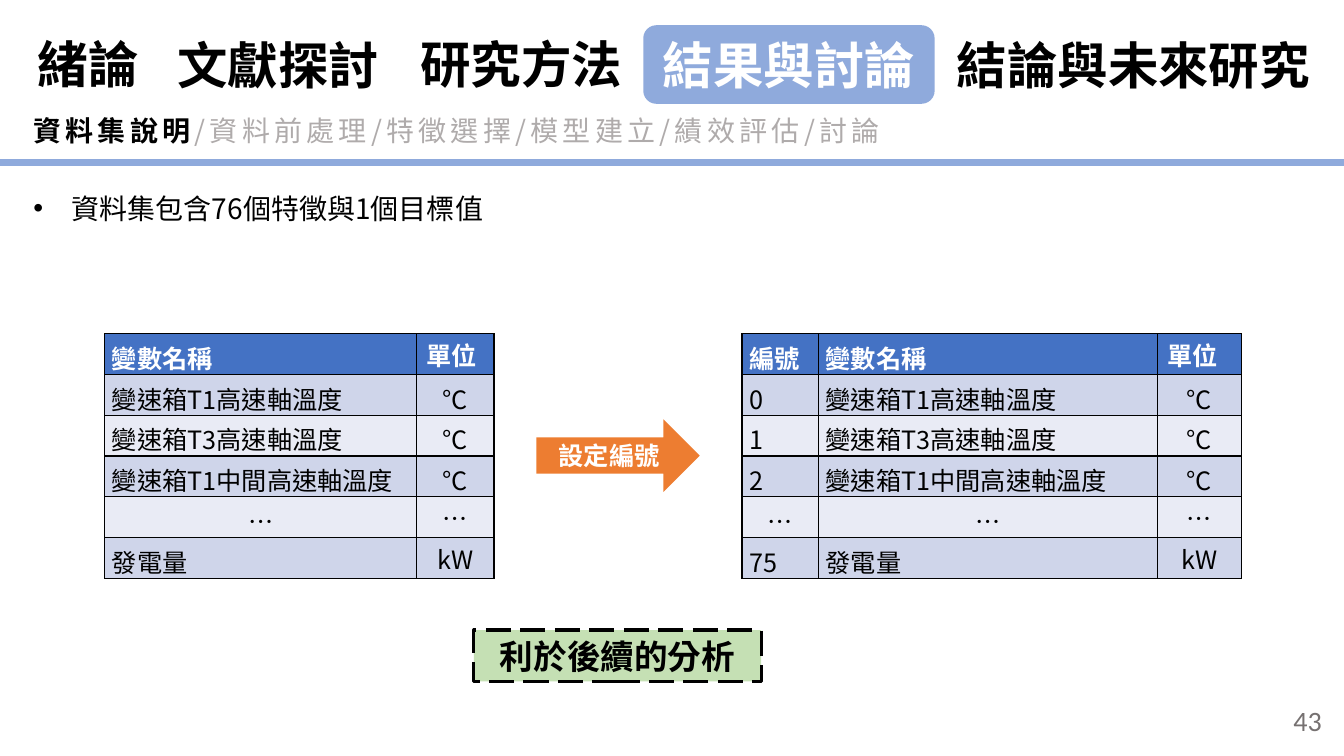
import pptx
import pptx.dml.color
import pptx.enum.dml
import pptx.enum.shapes
import pptx.enum.text
import pptx.oxml
import pptx.oxml.ns
import pptx.util
from lxml import etree

PX = 9144  # EMU in one px: 100 px to the inch
COLORS = {
    "black": "000000", "white": "FFFFFF", "muted": "AFABAB", "number": "767171",
    "accent": "8FAADC", "header": "4472C4", "band_dark": "CFD5EA",
    "band_light": "E9EBF5", "arrow": "ED7D31", "note": "C5E0B4",
}
SHAPE = pptx.enum.shapes.MSO_SHAPE
ALIGN = pptx.enum.text.PP_ALIGN
ANCHOR = pptx.enum.text.MSO_ANCHOR
FIT = pptx.enum.text.MSO_AUTO_SIZE


def rgb(name):
    return pptx.dml.color.RGBColor.from_string(COLORS[name])


def add_text(paragraph, text, size=20, color="black", bold=False, spacing=None,
             font="Noto Sans CJK SC"):
    run = paragraph.add_run()
    run.text = text
    run.font.size = pptx.util.Pt(size)
    run.font.bold = bold
    run.font.color.rgb = rgb(color)
    run.font.name = font
    properties = run.font._element
    properties.set("lang", "zh-TW")
    if spacing:
        properties.set("spc", str(spacing * 100))
    latin = properties.find(pptx.oxml.ns.qn("a:latin"))
    east_asian = etree.Element(pptx.oxml.ns.qn("a:ea"), typeface=font)
    latin.addnext(east_asian)


class SlideBuilder:
    def __init__(self, width, height):
        self.deck = pptx.Presentation()
        self.deck.slide_width = width * PX
        self.deck.slide_height = height * PX
        self.slide = self.deck.slides.add_slide(self.deck.slide_layouts[1])

    def frame(self, shape, align=ALIGN.LEFT, anchor=ANCHOR.TOP, fit=FIT.NONE):
        frame = shape.text_frame
        frame.word_wrap = True
        frame.auto_size = fit
        frame.vertical_anchor = anchor
        paragraph = frame.paragraphs[0]
        paragraph.alignment = align
        return paragraph

    def placeholder(self, index, left, top, width, height):
        holder = self.slide.placeholders[index]
        holder.left, holder.top = left * PX, top * PX
        holder.width, holder.height = width * PX, height * PX
        paragraph = self.frame(holder, fit=FIT.SHAPE_TO_FIT_TEXT)
        paragraph.space_before = pptx.util.Pt(0)
        paragraph.line_spacing = 1.0
        return paragraph

    def bullet(self, paragraph, indent):
        properties = paragraph._p.get_or_add_pPr()
        properties.set("marL", str(indent * PX))
        properties.set("indent", str(-indent * PX))
        etree.SubElement(properties, pptx.oxml.ns.qn("a:buFont"), typeface="Arial")
        etree.SubElement(properties, pptx.oxml.ns.qn("a:buChar"), char="•")

    def rule(self, y, width, color, weight):
        line = self.slide.shapes.add_connector(
            pptx.enum.shapes.MSO_CONNECTOR.STRAIGHT, 0, y * PX, width * PX, y * PX)
        line.line.color.rgb = rgb(color)
        line.line.width = pptx.util.Pt(weight)
        etree.SubElement(line._element.spPr, pptx.oxml.ns.qn("a:effectLst"))

    def shape(self, kind, left, top, width, height, text, fill=None, dashed=False,
              anchor=ANCHOR.MIDDLE, fit=FIT.NONE, **style):
        shape = self.slide.shapes.add_shape(
            kind, left * PX, top * PX, width * PX, height * PX)
        shape.shadow.inherit = False
        if fill:
            shape.fill.solid()
            shape.fill.fore_color.rgb = rgb(fill)
        else:
            shape.fill.background()
        if dashed:
            shape.line.color.rgb = rgb("black")
            shape.line.width = pptx.util.Pt(2.25)
            shape.line.dash_style = pptx.enum.dml.MSO_LINE.LONG_DASH
        else:
            shape.line.fill.background()
        add_text(self.frame(shape, ALIGN.CENTER, anchor, fit), text, **style)

    def label(self, left, top, width, height, text, align, **style):
        box = self.slide.shapes.add_textbox(
            left * PX, top * PX, width * PX, height * PX)
        add_text(self.frame(box, align, ANCHOR.MIDDLE), text, **style)

    def borders(self, cell):
        properties = cell._tc.get_or_add_tcPr()
        for place, side in enumerate("LRTB"):
            properties.insert(place, pptx.oxml.parse_xml(
                f'<a:ln{side} {pptx.oxml.ns.nsdecls("a")} w="12700"><a:solidFill>'
                f'<a:srgbClr val="{COLORS["black"]}"/></a:solidFill></a:ln{side}>'))

    def table(self, left, top, height, widths, rows):
        table = self.slide.shapes.add_table(
            len(rows), len(widths), left * PX, top * PX,
            sum(widths) * PX, height * PX).table
        for column, width in zip(table.columns, widths):
            column.width = width * PX
        for r, row in enumerate(rows):
            fill = "header" if r == 0 else ("band_dark" if r % 2 else "band_light")
            for c, text in enumerate(row):
                self.cell(table.cell(r, c), text, fill, r == 0, c == len(row) - 1)

    def cell(self, cell, text, fill, is_header, is_unit):
        cell.fill.solid()
        cell.fill.fore_color.rgb = rgb(fill)
        cell.vertical_anchor = ANCHOR.MIDDLE
        wide = is_unit and text != "°C"
        cell.margin_left = cell.margin_right = (10 if wide else 7) * PX
        cell.margin_top = cell.margin_bottom = 0
        self.borders(cell)
        paragraph = cell.text_frame.paragraphs[0]
        paragraph.line_spacing = 1.0 if wide else 1.15
        if text == "…":
            cell._tc.get_or_add_tcPr().set("vert", "eaVert")
        centred = text == "…" or (is_unit and not is_header)
        paragraph.alignment = ALIGN.CENTER if centred else ALIGN.LEFT
        add_text(paragraph, text, size=18, bold=is_header,
                 color="white" if is_header else "black")


def main():
    page = SlideBuilder(1333, 750)

    # Header: rule, page number, section path
    page.rule(161, 1333, "accent", 5)
    page.label(1021, 695, 300, 40, "43", ALIGN.RIGHT, color="number", font="Calibri")
    section_path = page.placeholder(0, 23, 108, 1298, 44)
    add_text(section_path, "資料集說明", bold=True, spacing=3)
    add_text(section_path, "/資料前處理/特徵選擇/模型建立/績效評估/討論",
             color="muted", spacing=3)

    # Chapter tabs
    chapters = [("緒論", 19, 24, 137), ("文獻探討", 156, 25, 240),
                ("研究方法", 398, 24, 238), ("結果與討論", 638, 25, 289),
                ("結論與未來研究", 926, 25, 396)]
    for chapter, left, top, width in chapters:
        current = chapter == "結果與討論"
        page.shape(SHAPE.ROUNDED_RECTANGLE, left, top, width, 78, chapter,
                   fill="accent" if current else None, anchor=ANCHOR.TOP,
                   fit=FIT.SHAPE_TO_FIT_TEXT, size=36, bold=True,
                   color="white" if current else "black")

    # Data set summary
    summary = page.placeholder(1, 23, 185, 667, 44)
    page.bullet(summary, 38)
    add_text(summary, "資料集包含76個特徵與1個目標值")

    # Variables before and after numbering
    variables = [("變數名稱", "單位"), ("變速箱T1高速軸溫度", "°C"),
                 ("變速箱T3高速軸溫度", "°C"), ("變速箱T1中間高速軸溫度", "°C"),
                 ("…", "…"), ("發電量", "kW")]
    numbers = ["編號", "0", "1", "2", "…", "75"]
    numbered = [(number, *row) for number, row in zip(numbers, variables)]
    page.table(104, 331, 243, [309, 77], variables)
    page.shape(SHAPE.RIGHT_ARROW, 532, 416, 162, 72, "設定編號", fill="arrow",
               size=18, color="white", bold=True)
    page.table(736, 331, 243, [76, 336, 83], numbered)

    # Conclusion
    page.shape(SHAPE.RECTANGLE, 470, 625, 285, 51, "利於後續的分析", fill="note",
               dashed=True, size=24, bold=True)

    page.deck.save("out.pptx")


if __name__ == "__main__":
    main()
